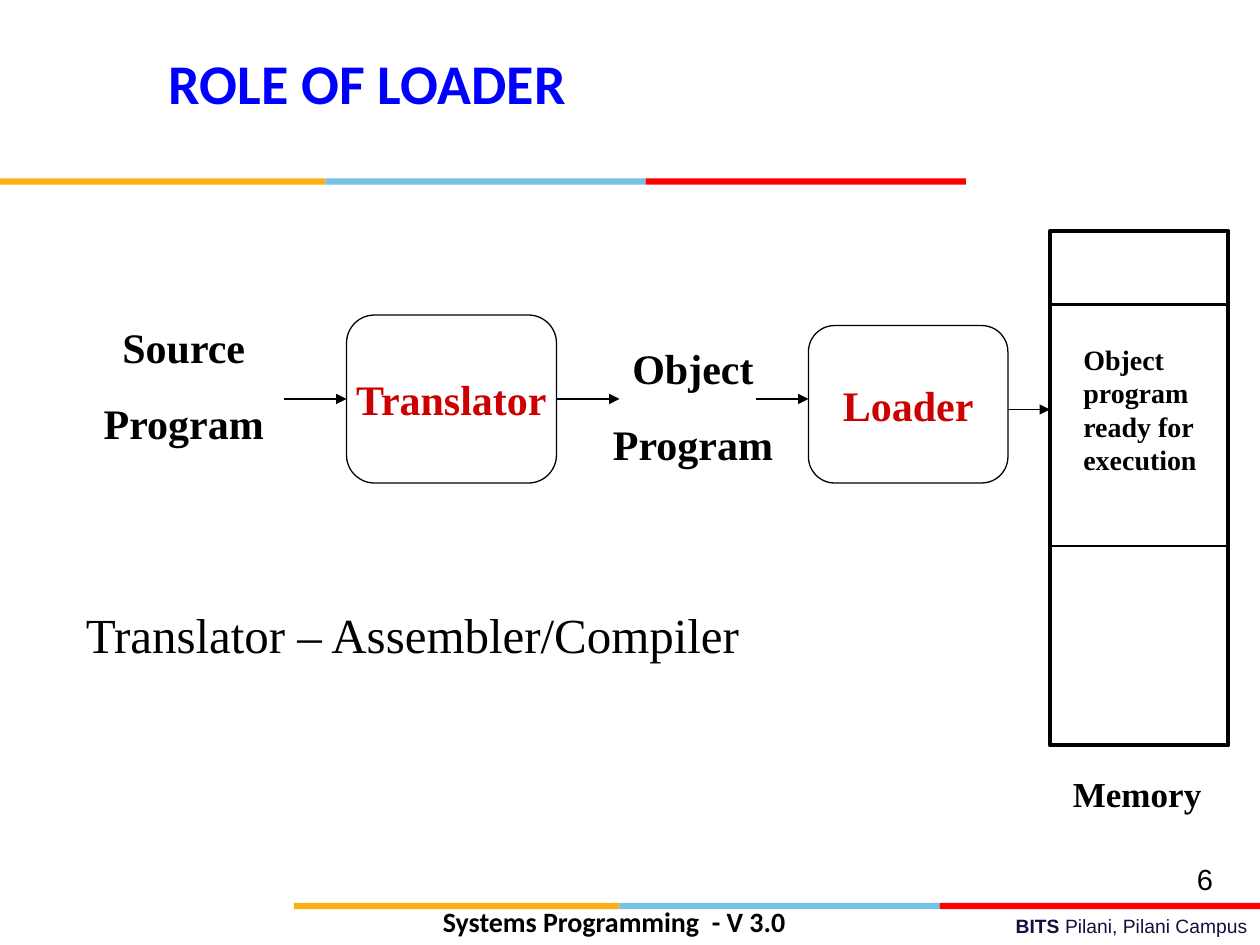
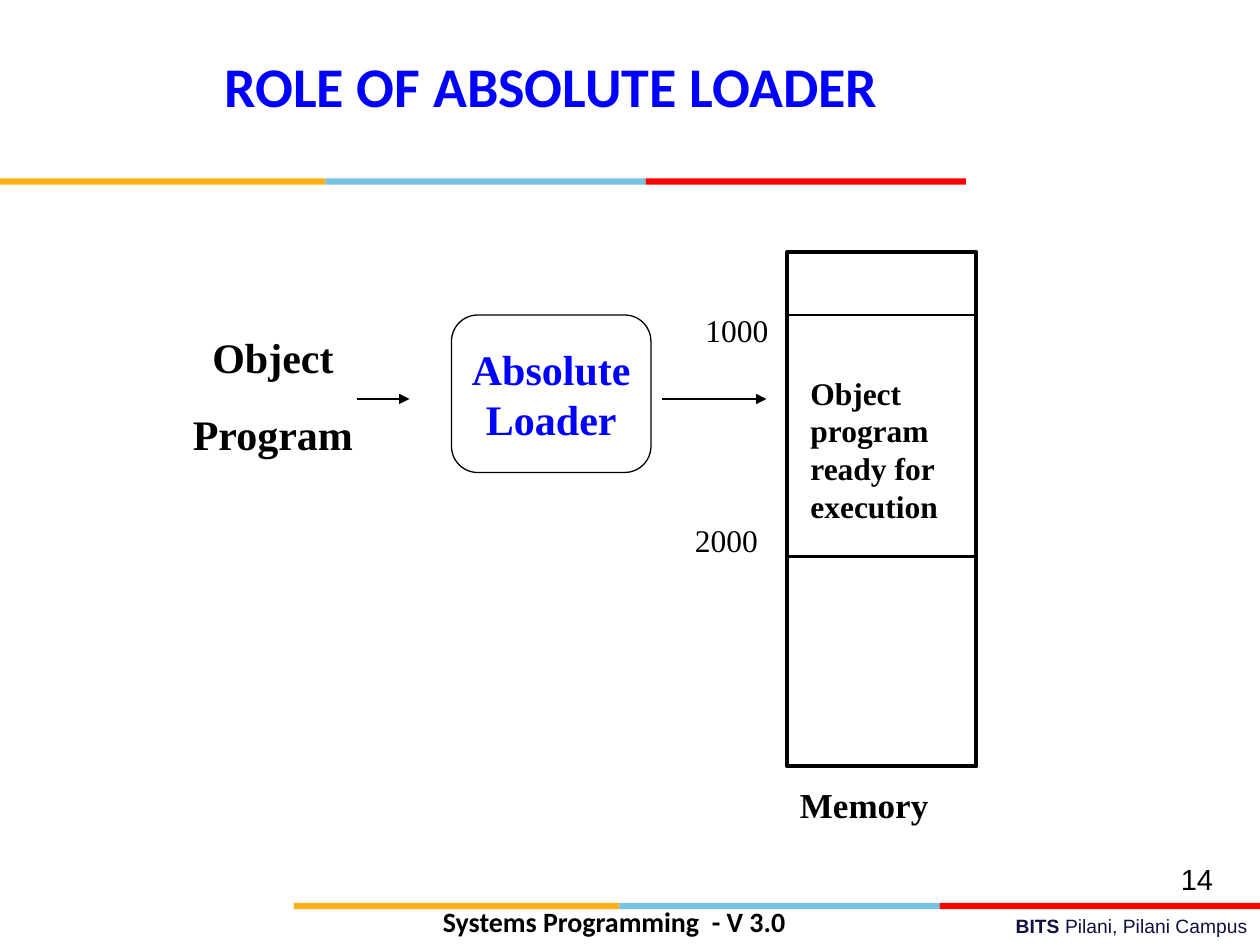
from lxml.etree import SubElement
from pptx import Presentation
from pptx.dml.color import RGBColor
from pptx.enum.shapes import MSO_CONNECTOR, MSO_SHAPE
from pptx.enum.text import MSO_ANCHOR, PP_ALIGN
from pptx.oxml.ns import qn
from pptx.util import Emu, Pt

SCALE = 7620
BLACK, BLUE, RED, NAVY = "000000", "0000FF", "CC0000", "101141"
BANDS = [("FCB017", 310), ("76C2E5", 305), ("FF0000", 305)]
SERIF, SANS, HEAD = "Times New Roman", "Arial", "Calibri"
LEFT, MID, RIGHT = PP_ALIGN.LEFT, PP_ALIGN.CENTER, PP_ALIGN.RIGHT


def px(*sizes):
    return [Emu(size * SCALE) for size in sizes]


def tint(code):
    return RGBColor.from_string(code)


def add_run(para, text, size, color=BLACK, bold=True, face=SERIF):
    run = para.add_run()
    run.text = text
    font = run.font
    font.name, font.size, font.bold = face, Pt(size), bold
    font.color.rgb = tint(color)


def add_lines(frame, lines, size, align=LEFT, gap=0, **style):
    for i, line in enumerate(lines):
        para = frame.paragraphs[0] if i == 0 else frame.add_paragraph()
        para.alignment = align
        if i and gap:
            para.space_before = Pt(gap)
        add_run(para, line, size, **style)


def add_frame(slide, place):
    frame = slide.shapes.add_textbox(*px(*place)).text_frame
    frame.word_wrap = True
    return frame


def add_label(slide, place, lines, size, **style):
    frame = add_frame(slide, place)
    add_lines(frame, lines, size, **style)
    return frame


def add_code(slide, place, lines):
    add_label(slide, place, lines, 24, align=MID, gap=15)


def add_shape(slide, kind, place, fill=None, width=None):
    shape = slide.shapes.add_shape(kind, *px(*place))
    shape.shadow.inherit = False
    if fill:
        shape.fill.solid()
        shape.fill.fore_color.rgb = tint(fill)
    else:
        shape.fill.background()
    if width:
        shape.line.color.rgb = tint(BLACK)
        shape.line.width = Pt(width)
    else:
        shape.line.fill.background()
    return shape


def add_stage(slide, place, lines, color):
    shape = add_shape(slide, MSO_SHAPE.FLOWCHART_ALTERNATE_PROCESS, place, width=0.75)
    frame = shape.text_frame
    frame.word_wrap = False
    frame.vertical_anchor = MSO_ANCHOR.MIDDLE
    add_lines(frame, lines, 24, align=MID, color=color)
    return shape


def add_line(slide, left, right, y, width):
    line = slide.shapes.add_connector(MSO_CONNECTOR.STRAIGHT, *px(left, y, right, y))
    line.line.color.rgb = tint(BLACK)
    line.line.width = Pt(width)
    SubElement(line._element.spPr, qn("a:effectLst"))
    return line


def add_arrow(slide, left, right, y, start=None, end=None):
    line = add_line(slide, left, right, y, 0.75)
    SubElement(line.line._get_or_add_ln(), qn("a:tailEnd"), type="triangle")
    if start:
        line.begin_connect(start, 3)
    if end:
        line.end_connect(end, 1)


def add_store(slide, left, top, width, cuts):
    add_shape(slide, MSO_SHAPE.RECTANGLE, (left, top, width, 490), width=2.25)
    for cut in cuts:
        add_line(slide, left, left + width, top + cut, 1.5)


def add_band(slide, left, top):
    for color, width in BANDS:
        add_shape(slide, MSO_SHAPE.RECTANGLE, (left, top, width, 6), fill=color)
        left += width


def add_page(deck, title, place, page):
    slide = deck.slides.add_slide(deck.slide_layouts[6])
    para = add_frame(slide, (430, 865, 770, 35)).paragraphs[0]
    para.alignment = RIGHT
    add_run(para, "BITS ", 11, NAVY, True, SANS)
    add_run(para, "Pilani, Pilani Campus", 11, NAVY, False, SANS)
    add_band(slide, 280, 860)
    add_band(slide, 0, 170)
    add_label(slide, place, [title], 32, align=MID, color=BLUE, face=HEAD)
    frame = add_label(slide, (887, 818, 280, 48), [page], 16.6,
                      align=RIGHT, bold=False, face=SANS)
    frame.paragraphs[0].line_spacing = 0.9
    add_label(slide, (410, 856, 380, 48), ["Systems Programming  - V 3.0"], 16, face=HEAD)
    return slide


def add_role(deck):
    slide = add_page(deck, "ROLE OF LOADER", (90, 40, 520, 90), "6")
    add_code(slide, (70, 300, 210, 133), ["Source", "Program"])
    stage = add_stage(slide, (330, 300, 200, 160), ["Translator"], RED)
    add_arrow(slide, 270, 330, 380, end=stage)
    add_code(slide, (570, 320, 180, 133), ["Object", "Program"])
    add_arrow(slide, 530, 590, 380, start=stage)
    add_arrow(slide, 720, 770, 380)
    add_stage(slide, (770, 310, 190, 150), ["Loader"], RED)
    add_store(slide, 1000, 220, 170, (70, 300))
    add_label(slide, (1020, 320, 150, 140), ["Object program ready for execution"], 16)
    add_arrow(slide, 960, 1000, 390)
    add_label(slide, (1010, 730, 160, 53), ["Memory"], 20)
    add_label(slide, (70, 570, 750, 68), ["Translator – Assembler/Compiler"], 28, bold=False)


def add_fixed(deck):
    slide = add_page(deck, "ROLE OF ABSOLUTE LOADER", (85, 43, 880, 90), "14")
    add_code(slide, (170, 310, 180, 133), ["Object", "Program"])
    add_arrow(slide, 340, 390, 380)
    add_stage(slide, (430, 300, 190, 150), ["Absolute", "Loader"], BLUE)
    add_store(slide, 750, 240, 180, (60, 290))
    add_label(slide, (760, 350, 170, 156), ["Object program ready for execution"], 18)
    add_arrow(slide, 630, 730, 380)
    add_label(slide, (750, 740, 160, 53), ["Memory"], 20)
    for left, top, text in [(660, 290, "1000"), (650, 490, "2000")]:
        add_label(slide, (left, top, 110, 48), [text], 18, bold=False)


def main():
    deck = Presentation()
    deck.slide_width, deck.slide_height = px(1200, 900)
    add_role(deck)
    add_fixed(deck)
    deck.save("out.pptx")


if __name__ == "__main__":
    main()
